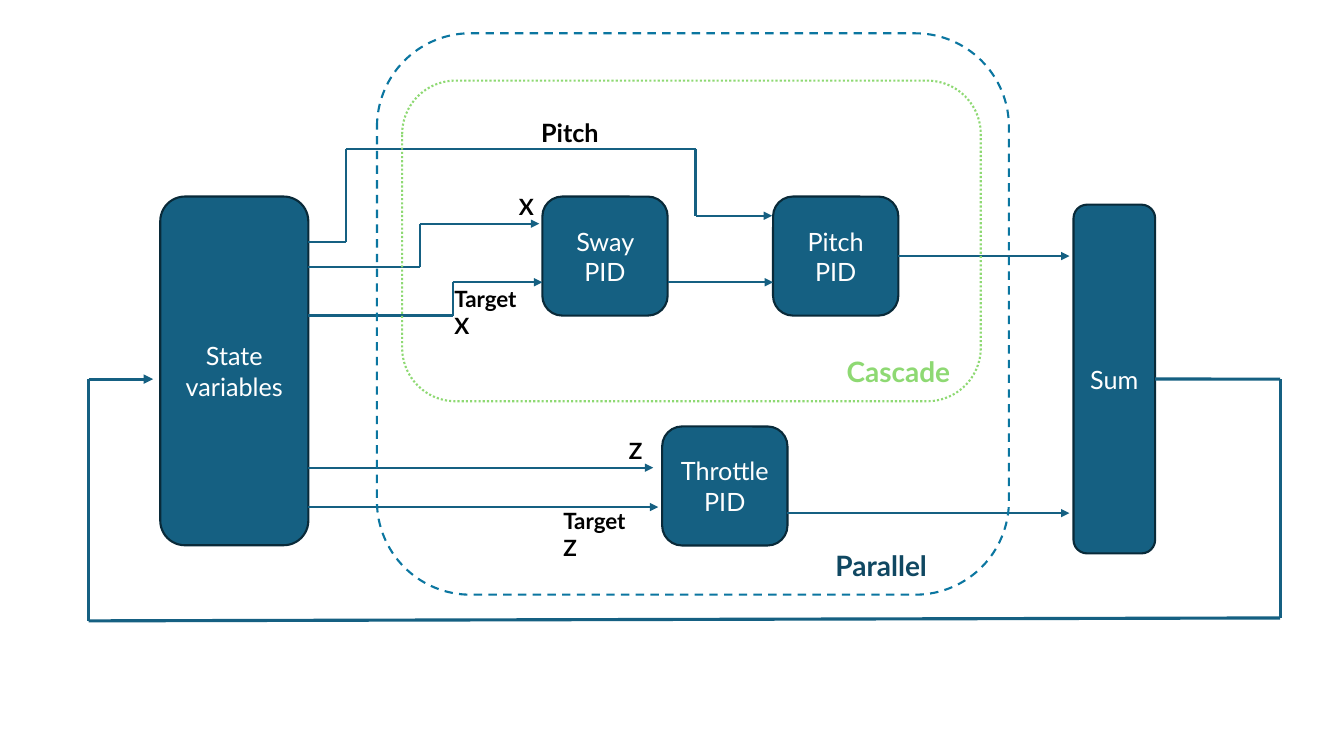
import pptx
import pptx.util
import pptx.dml.color
import pptx.enum.dml
import pptx.enum.shapes
import pptx.enum.text
from lxml import etree

Pt = pptx.util.Pt
DASH = pptx.enum.dml.MSO_LINE
TEAL, EDGE, GREEN = "156082", "092A39", "8ED973"
SIDE = 220.3  # right side of the state box
RIGHT = 3  # connection site

# text: left, top, width, height
BOXES = {
    "State variables": (114.5, 140.4, 105.8, 249.1),
    "Sway PID": (387.4, 140.4, 89.5, 85),
    "Pitch PID": (552.2, 140.4, 89.5, 85),
    "Throttle PID": (473, 304.6, 89.5, 85),
    "Sum": (766.8, 146.2, 58.3, 249.1),
}
# start, later points, line width; a box name starts at its right side
ROUTES = [
    ((476.9, 201.6), [(552.2, 201.6)], 1.5),
    ("Pitch PID", [(763.9, 182.9)], 1.5),
    ((562.5, 366.5), [(763.9, 366.5)], 1.5),
    ((SIDE, 172.8), [(247, 172.8), (247, 106.6), (496.8, 106.6),
                     (496.8, 154.1), (551.5, 154.1)], 1.5),
    ((SIDE, 190.8), [(300, 190.8), (300, 159.8), (385.2, 159.8)], 1.5),
    ((SIDE, 225.4), [(323.3, 225.4), (323.3, 201.6), (387.4, 201.6)], 1.5),
    ((SIDE, 362.2), [(470.2, 362.2)], 1.5),
    ((SIDE, 334.1), [(466.6, 334.1)], 1.5),
    ("Sum", [(914.4, 270.8), (914.4, 441.4), (63.4, 443.5),
             (63.4, 270.8), (109.4, 270.8)], 2.25),
]
# text, left, top, width, height, size, colour, wrap
LABELS = [
    ("Pitch", 379.4, 79.9, 56.9, 29, 18, "000000", False),
    ("Target X", 317.5, 200.2, 72, 26.6, 16, "000000", True),
    ("Target Z", 395.3, 358.6, 71.3, 26.6, 16, "000000", True),
    ("Z", 442.1, 308.9, 23, 26.6, 16, "000000", False),
    ("X", 363.6, 134.6, 24.5, 26.6, 16, "000000", False),
    ("Cascade", 597.6, 249.8, 95.8, 31.5, 20, GREEN, False),
    ("Parallel", 589.7, 388.1, 84.2, 31.5, 20, "104862", False),
]
# left, top, width, height, colour, dash
FRAMES = [
    (287.3, 57.6, 413.3, 229, GREEN, DASH.ROUND_DOT),
    (269.3, 23.8, 451.4, 401, "0B76A0", DASH.DASH),
]


def rgb(code):
    return pptx.dml.color.RGBColor.from_string(code)


def style(para, size, color, bold=False):
    font = para.font
    font.name, font.size, font.bold = "Lato", Pt(size), bold
    font.color.rgb = rgb(color)


def outline(item, color, width=1.5):
    item.line.color.rgb = rgb(color)
    item.line.width = Pt(width)


def rounded(place):
    kind = pptx.enum.shapes.MSO_SHAPE.ROUNDED_RECTANGLE
    shape = slide.shapes.add_shape(kind, *map(Pt, place))
    shape.shadow.inherit = False
    return shape


def add_box(text, place):
    box = rounded(place)
    box.fill.solid()
    box.fill.fore_color.rgb = rgb(TEAL)
    outline(box, EDGE)
    frame = box.text_frame
    frame.text = text
    frame.word_wrap = True
    frame.vertical_anchor = pptx.enum.text.MSO_ANCHOR.MIDDLE
    para = frame.paragraphs[0]
    para.alignment = pptx.enum.text.PP_ALIGN.CENTER
    style(para, 18, "FFFFFF")
    return box


def add_route(start, stops, width):
    """Draw straight legs through the stops, with an arrowhead on the last."""
    first = start
    if isinstance(start, str):
        left, top, wide, high = BOXES[start]
        first = (left + wide, top + high / 2)
    points = [first] + stops
    for begin, end in zip(points, stops):
        leg = slide.shapes.add_connector(
            pptx.enum.shapes.MSO_CONNECTOR.STRAIGHT, *map(Pt, begin + end))
        outline(leg, TEAL, width)
        props = leg.line._get_or_add_ln()
        space = "{%s}" % props.nsmap["a"]
        if end is stops[-1]:
            etree.SubElement(props, space + "tailEnd", type="triangle")
        etree.SubElement(props.getparent(), space + "effectLst")
        if begin is first and isinstance(start, str):
            leg.begin_connect(boxes[start], RIGHT)


def add_label(text, left, top, width, height, size, color, wrap):
    label = slide.shapes.add_textbox(*map(Pt, (left, top, width, height)))
    frame = label.text_frame
    frame.text = text
    frame.word_wrap = wrap
    style(frame.paragraphs[0], size, color, True)


deck = pptx.Presentation()
deck.slide_width, deck.slide_height = Pt(960), Pt(540)
slide = deck.slides.add_slide(deck.slide_layouts[6])

boxes = {text: add_box(text, place) for text, place in BOXES.items()}
for route in ROUTES:
    add_route(*route)
for label in LABELS:
    add_label(*label)
for *place, color, dash in FRAMES:
    ring = rounded(place)
    ring.fill.background()
    outline(ring, color)
    ring.line.dash_style = dash

deck.save("out.pptx")
